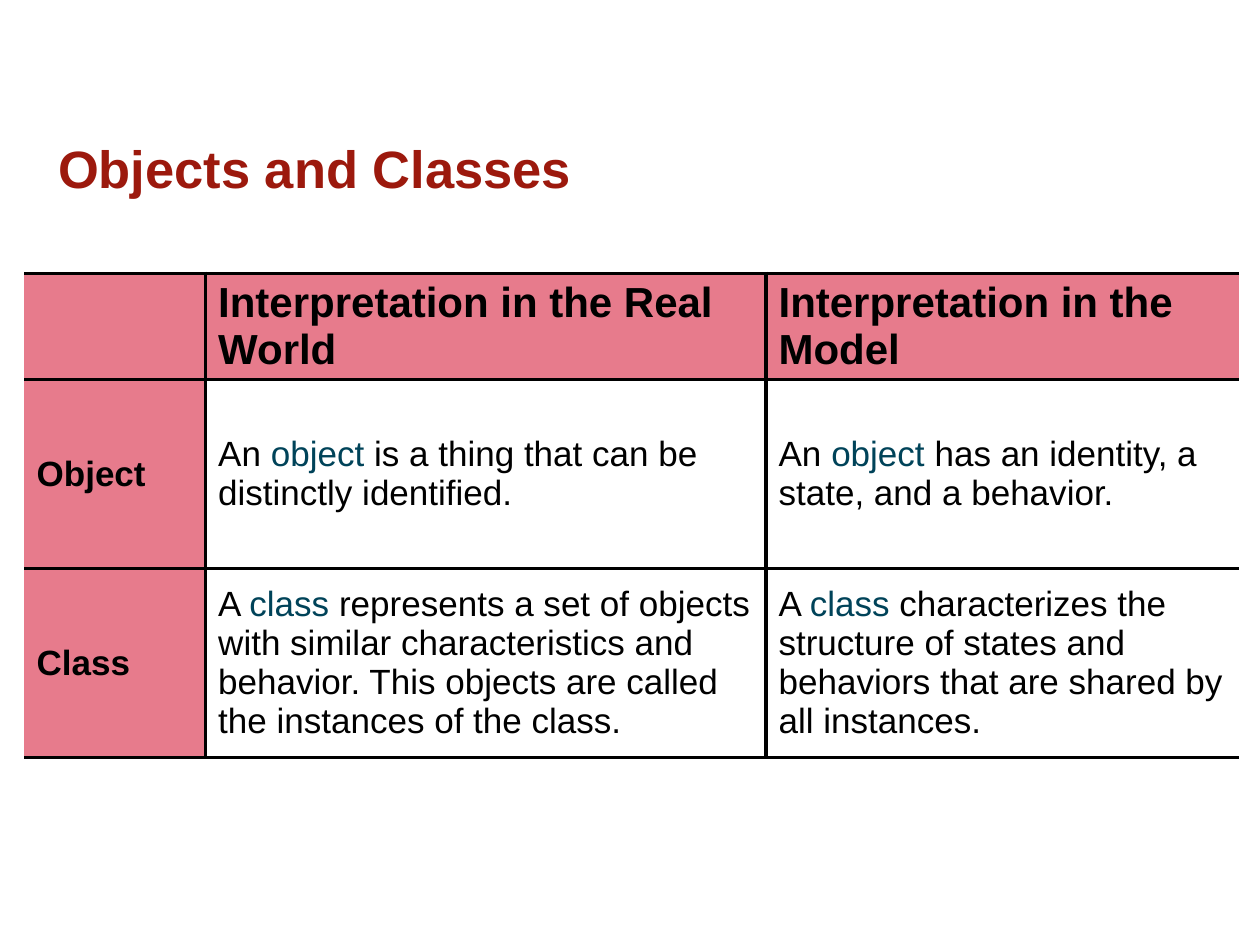
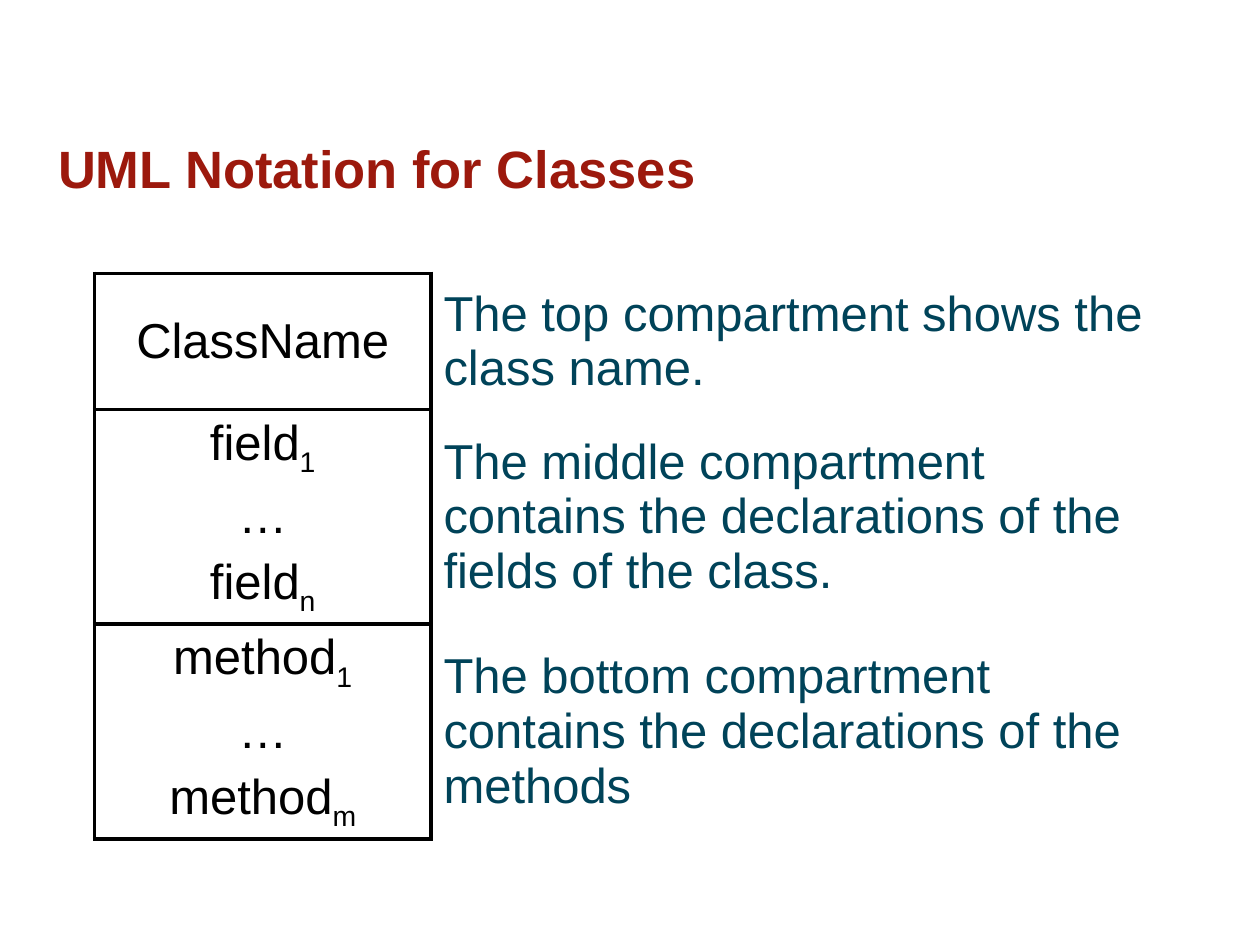
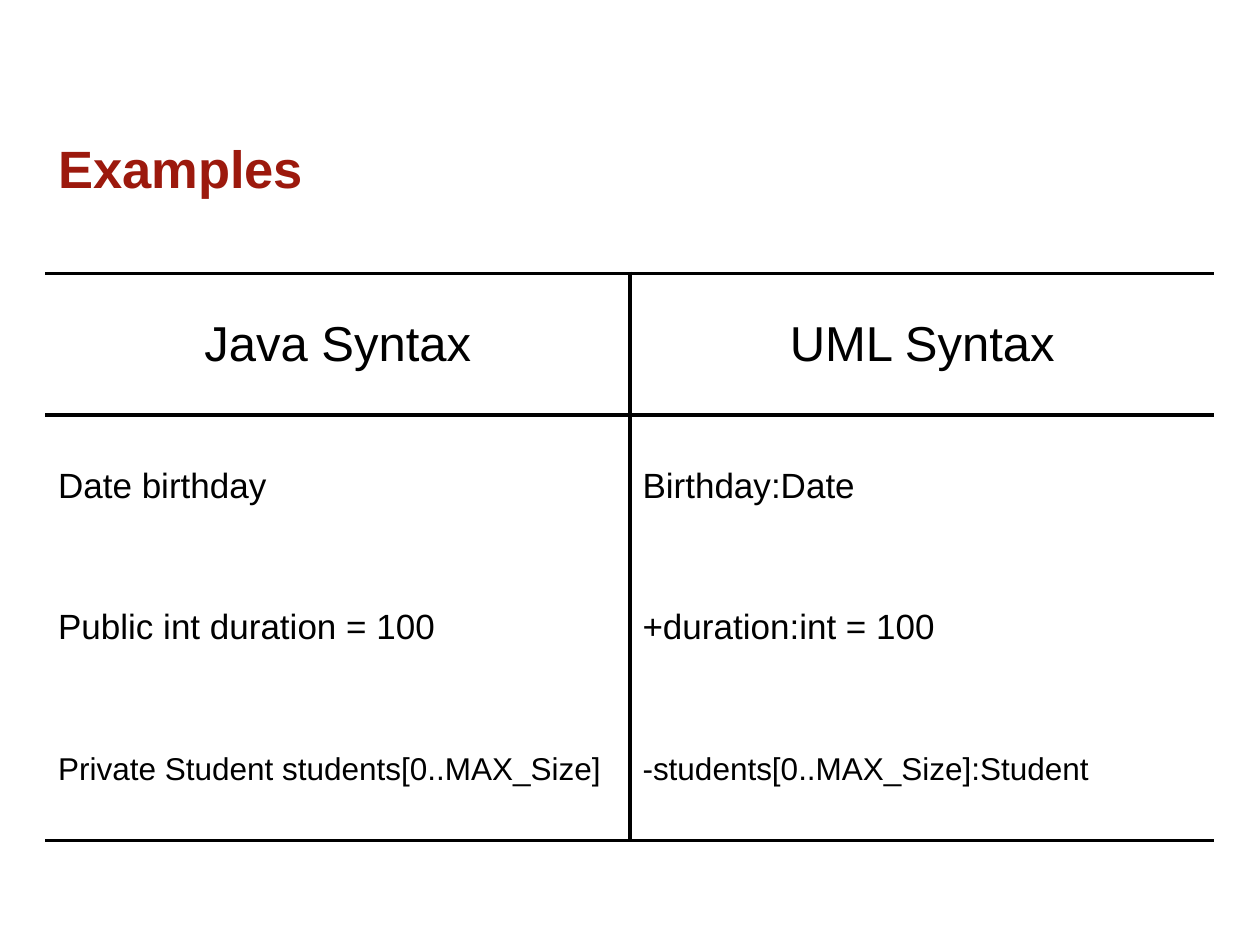
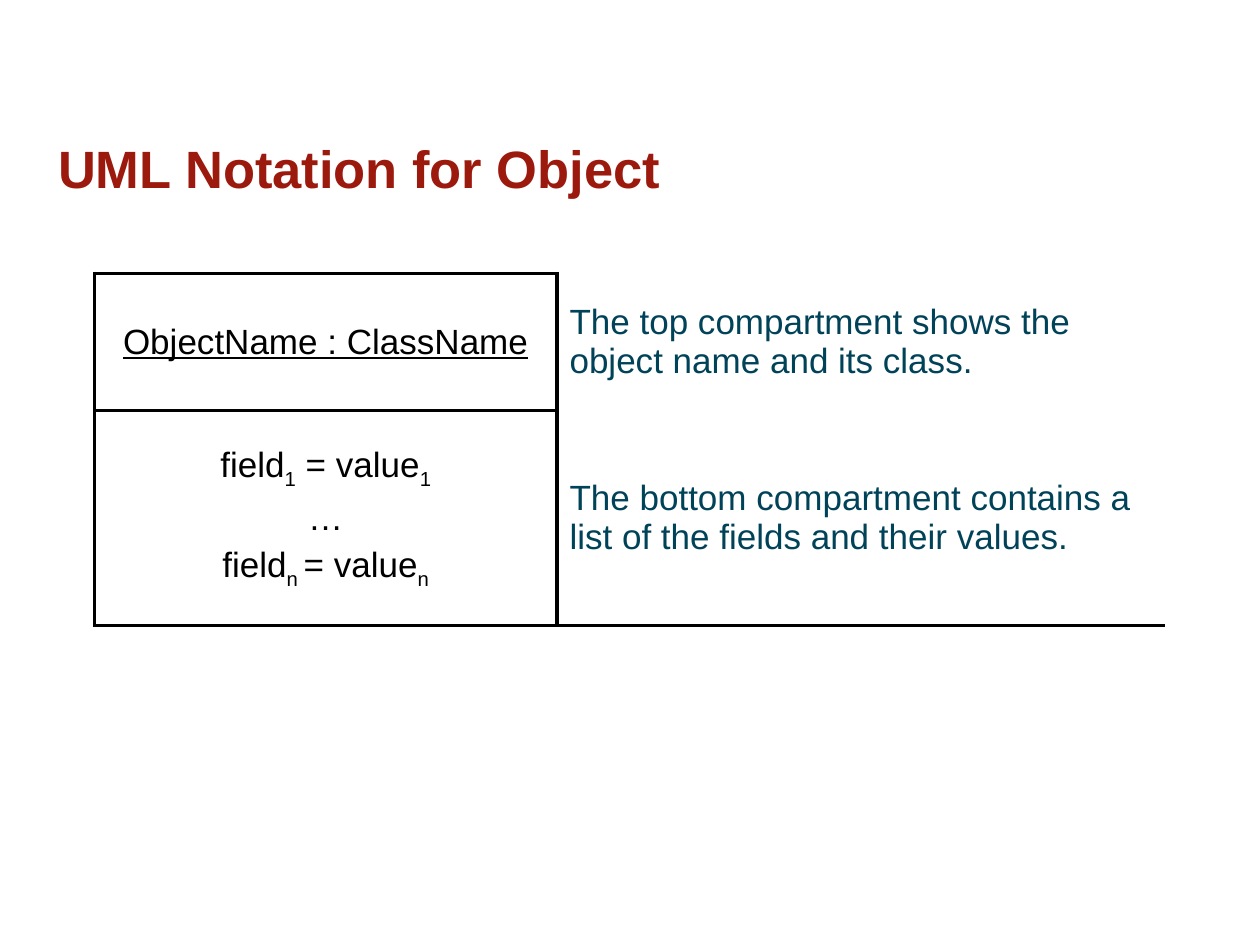
from lxml import etree
from pptx import Presentation
from pptx.dml.color import RGBColor
from pptx.enum.text import MSO_ANCHOR, PP_ALIGN
from pptx.oxml.ns import qn
from pptx.util import Pt

RED = RGBColor(0x9C, 0x19, 0x0D)
PINK = RGBColor(0xE7, 0x7B, 0x8C)
TEAL = RGBColor(0x00, 0x43, 0x59)
BLACK = RGBColor(0, 0, 0)
MIDDLE = MSO_ANCHOR.MIDDLE
LEFT = PP_ALIGN.LEFT
CENTER = PP_ALIGN.CENTER
FONT = "Arial"
PLAIN = "{2D5ABB26-0587-4C30-8999-92F81FD0307C}"
TOP = 156.25
EDGE = 2.25


def style(font, size, color, bold=False):
    """Set the face, size, colour and weight of a font."""
    font.name, font.size, font.bold = FONT, Pt(size), bold
    font.color.rgb = color


def add_slide(deck, title):
    """Add a slide with the shared title style."""
    slide = deck.slides.add_slide(deck.slide_layouts[5])
    head = slide.shapes.title
    head.left, head.top, head.width, head.height = Pt(26), Pt(70), Pt(668), Pt(52)
    frame = head.text_frame
    frame.text = title
    frame.vertical_anchor = MIDDLE
    para = frame.paragraphs[0]
    para.alignment = LEFT
    style(para.font, 30, RED, True)
    return slide


def add_grid(slide, left, cols, rows):
    """Add a plain table with the given column widths and row heights."""
    frame = slide.shapes.add_table(len(rows), len(cols), Pt(left), Pt(TOP),
                                   Pt(sum(cols)), Pt(sum(rows)))
    grid = frame.table
    grid.first_row = grid.horz_banding = False
    frame._element.find(".//" + qn("a:tableStyleId")).text = PLAIN
    for col, width in zip(grid.columns, cols):
        col.width = Pt(width)
    for row, height in zip(grid.rows, rows):
        row.height = Pt(height)
    return grid


def paint(cell, sides, color=None):
    """Draw the named sides (L, R, T, B) of a cell and fill it."""
    props = cell._tc.get_or_add_tcPr()
    for side in "LRTB":
        line = etree.SubElement(props, qn("a:ln" + side), w=str(Pt(EDGE)))
        if side in sides:
            solid = etree.SubElement(line, qn("a:solidFill"))
            etree.SubElement(solid, qn("a:srgbClr"), val=str(BLACK))
        else:
            etree.SubElement(line, qn("a:noFill"))
    if color is None:
        cell.fill.background()
    else:
        cell.fill.solid()
        cell.fill.fore_color.rgb = color


def write(cell, text, size, color=BLACK, bold=False, align=LEFT, under=False):
    """Write lines in a cell; *word* turns teal and ~word~ is a subscript."""
    cell.vertical_anchor = MIDDLE
    frame = cell.text_frame
    for i, line in enumerate(text.split("\n")):
        para = frame.add_paragraph() if i else frame.paragraphs[0]
        para.alignment = align
        para.space_before = Pt(round(size * 0.23, 1))
        style(para.font, size, color, bold)
        para.font.underline = under
        for j, part in enumerate(line.split("*")):
            for k, piece in enumerate(part.split("~")):
                if not piece:
                    continue
                run = para.add_run()
                run.text = piece
                if j % 2:
                    run.font.color.rgb = TEAL
                if k % 2:
                    run._r.get_or_add_rPr().set("baseline", "-25000")


def add_terms(slide, texts):
    """Add the table that explains terms, with pink heads."""
    grid = add_grid(slide, 13.75, (103.75, 320.25, 270), (60.5, 108, 108))
    for r, line in enumerate(texts):
        for c, text in enumerate(line):
            head = r == 0 or c == 0
            paint(grid.cell(r, c), ("TBR", "LTBR", "LTB")[c], PINK if head else None)
            if text:
                write(grid.cell(r, c), text, 20 if r else 24, bold=head)


def add_syntax(slide, texts):
    """Add the table that sets two syntaxes side by side."""
    grid = add_grid(slide, 26, (334, 334), (81,) * 4)
    sides, sizes = ("TB", "T", "", "B"), (28, 20, 20, 18)
    for r, line in enumerate(texts):
        for c, text in enumerate(line):
            paint(grid.cell(r, c), sides[r] + "RL"[c])
            write(grid.cell(r, c), text, sizes[r], align=LEFT if r else CENTER)


def add_uml(slide, cols, rows, size, texts, under=False, tail=False):
    """Add a UML box with notes, and a bare merged last row if tail is set."""
    grid = add_grid(slide, 54, cols, rows)
    last = len(texts) - 1
    for r, (part, note) in enumerate(texts):
        box, side = grid.cell(r, 0), grid.cell(r, 1)
        paint(box, "LRTB")
        write(box, part, size, align=CENTER, under=under and r == 0)
        paint(side, "LB" if tail and r == last else "L")
        write(side, note, size, TEAL)
    if tail:
        start, end = grid.cell(last + 1, 0), grid.cell(last + 1, 1)
        start.merge(end)
        paint(start, "T")
        paint(end, "T")


def main():
    """Build the four slides and save them."""
    deck = Presentation()
    deck.slide_width, deck.slide_height = Pt(720), Pt(540)

    add_terms(add_slide(deck, "Objects and Classes"), (
        ("", "Interpretation in the Real World", "Interpretation in the Model"),
        ("Object", "An *object* is a thing that can be distinctly identified.",
         "An *object* has an identity, a state, and a behavior."),
        ("Class", "A *class* represents a set of objects with similar characteristics "
         "and behavior. This objects are called the instances of the class.",
         "A *class* characterizes the structure of states and behaviors "
         "that are shared by all instances.")))

    add_uml(add_slide(deck, "UML Notation for Classes"),
            (192.25, 419.75), (77.75, 121, 121), 28, (
        ("ClassName", "The top compartment shows the class name."),
        ("field~1~\n…\nfield~n~", "The middle compartment contains the "
         "declarations of the fields of the class."),
        ("method~1~\n…\nmethod~m~", "The bottom compartment contains the "
         "declarations of the methods")))

    add_syntax(add_slide(deck, "Examples"), (
        ("Java Syntax", "UML Syntax"),
        ("Date birthday", "Birthday:Date"),
        ("Public int duration = 100", "+duration:int = 100"),
        ("Private Student students[0..MAX_Size]", "-students[0..MAX_Size]:Student")))

    add_uml(add_slide(deck, "UML Notation for Object"),
            (264.25, 347.75), (78.5, 122.75, 122.75), 20, (
        ("ObjectName : ClassName",
         "The top compartment shows the object name and its class."),
        ("field~1~ = value~1~\n…\nfield~n ~= value~n~",
         "The bottom compartment contains a list of the fields and their values.")),
            under=True, tail=True)

    deck.save("out.pptx")


if __name__ == "__main__":
    main()
